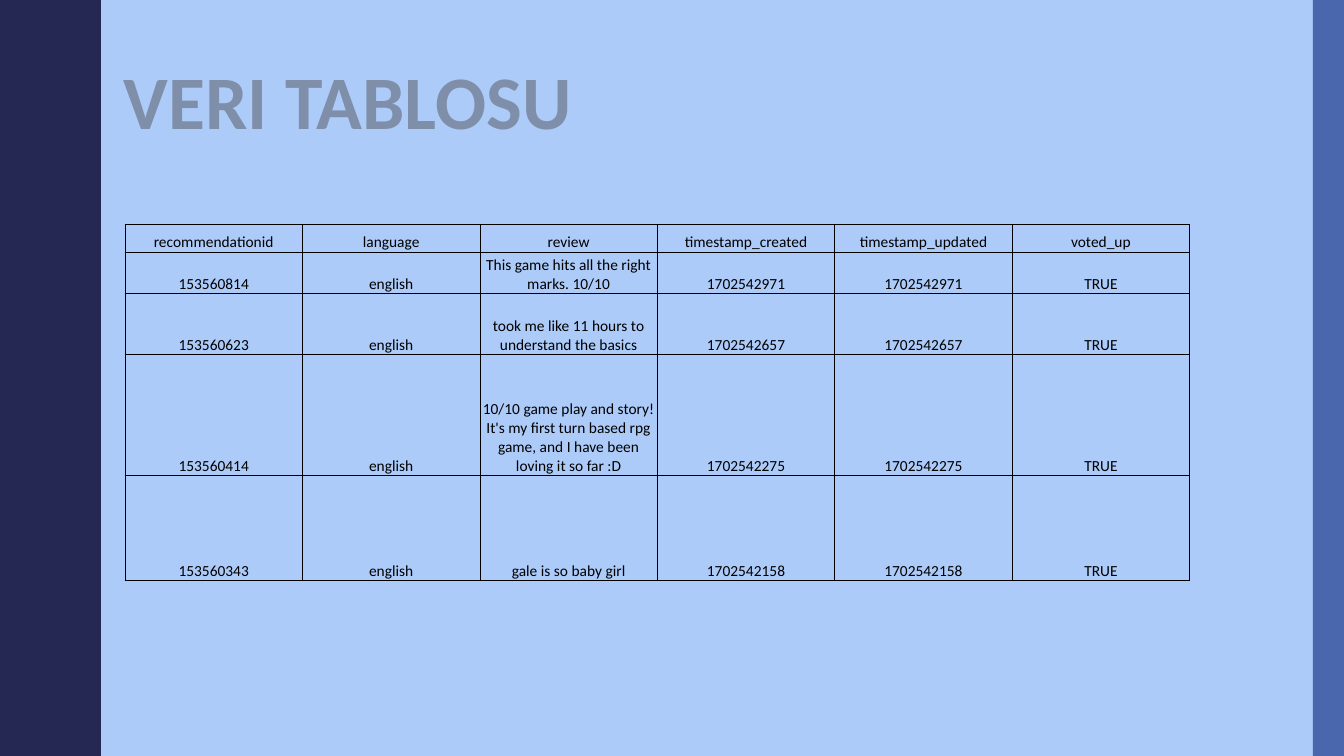
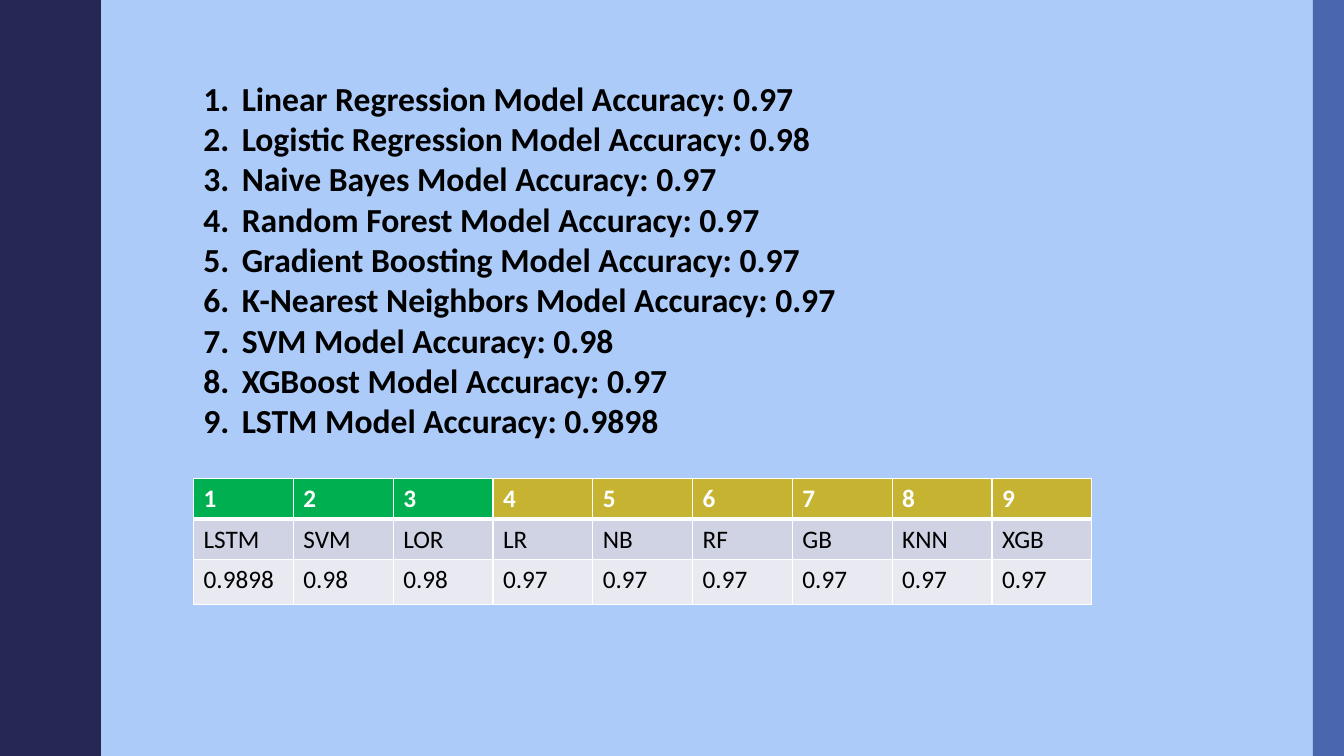
from lxml.etree import SubElement
from pptx import Presentation
from pptx.dml.color import RGBColor
from pptx.enum.shapes import MSO_SHAPE
from pptx.enum.text import MSO_ANCHOR, PP_ALIGN
from pptx.oxml.ns import qn
from pptx.util import Inches, Pt

SKY = RGBColor(0xAC, 0xCB, 0xF9)
NAVY = RGBColor(0x24, 0x28, 0x52)
BLUE = RGBColor(0x4A, 0x66, 0xAC)
SLATE = RGBColor(0x7F, 0x8F, 0xA9)
BLACK = RGBColor(0x00, 0x00, 0x00)
WHITE = RGBColor(0xFF, 0xFF, 0xFF)
GREEN = RGBColor(0x00, 0xB0, 0x50)
GOLD = RGBColor(0xC5, 0xB3, 0x31)
LILAC = RGBColor(0xD0, 0xD3, 0xE3)
PALE = RGBColor(0xE9, 0xEA, 0xF1)

FONT = "Calibri"
WIDTH, HEIGHT = 13.33, 7.5

# One rise of the wavy edge, from trough to crest
WAVE_PERIOD = 1.5
WAVE_RISE = [
    (0.78, 0), (0.78, 0.07), (0.79, 0.14), (0.8, 0.2), (0.81, 0.25),
    (0.83, 0.29), (0.85, 0.33), (0.87, 0.38), (0.89, 0.42), (0.91, 0.46),
    (0.93, 0.5), (0.95, 0.55), (0.96, 0.61), (0.97, 0.68), (0.97, 0.75),
]

TITLE = "VERI TABLOSU"
REVIEWS = [
    ("recommendationid", "language", "review",
     "timestamp_created", "timestamp_updated", "voted_up"),
    ("153560814", "english", "This game hits all the right marks. 10/10",
     "1702542971", "1702542971", "TRUE"),
    ("153560623", "english", "took me like 11 hours to understand the basics",
     "1702542657", "1702542657", "TRUE"),
    ("153560414", "english",
     "10/10 game play and story! It's my first turn based rpg game, "
     "and I have been loving it so far :D",
     "1702542275", "1702542275", "TRUE"),
    ("153560343", "english", "gale is so baby girl",
     "1702542158", "1702542158", "TRUE"),
]
REVIEW_ROW_HEIGHTS = [0.27, 0.41, 0.61, 1.2, 1.04]

ACCURACIES = [
    ("Linear Regression", "0.97"),
    ("Logistic Regression", "0.98"),
    ("Naive Bayes", "0.97"),
    ("Random Forest", "0.97"),
    ("Gradient Boosting", "0.97"),
    ("K-Nearest Neighbors", "0.97"),
    ("SVM", "0.98"),
    ("XGBoost", "0.97"),
    ("LSTM", "0.9898"),
]
RANKING = [
    ("1", "2", "3", "4", "5", "6", "7", "8", "9"),
    ("LSTM", "SVM", "LOR", "LR", "NB", "RF", "GB", "KNN", "XGB"),
    ("0.9898", "0.98", "0.98", "0.97", "0.97", "0.97", "0.97", "0.97", "0.97"),
]
RANKING_ROW_HEIGHTS = [0.4, 0.4, 0.45]
RANKING_FILLS = [[GREEN] * 3 + [GOLD] * 6, [LILAC] * 9, [PALE] * 9]


def paint(shape, color):
    shape.shadow.inherit = False
    shape.fill.solid()
    shape.fill.fore_color.rgb = color
    shape.line.fill.background()


def add_wavy_band(slide):
    fall = [(x, WAVE_PERIOD - y) for x, y in reversed(WAVE_RISE[:-1])]
    edge = [(x, y + wave * WAVE_PERIOD)
            for wave in range(round(HEIGHT / WAVE_PERIOD))
            for x, y in WAVE_RISE + fall]
    outline = slide.shapes.build_freeform(0, 0, scale=Inches(1))
    outline.add_line_segments(edge + [(0, HEIGHT)], close=True)
    paint(outline.convert_to_shape(), NAVY)


def new_slide(prs):
    """Add a blank slide with the wavy left band and the right bar."""
    slide = prs.slides.add_slide(prs.slide_layouts[6])
    add_wavy_band(slide)
    bar = slide.shapes.add_shape(
        MSO_SHAPE.RECTANGLE, Inches(13.02), 0, Inches(0.31), Inches(HEIGHT))
    paint(bar, BLUE)
    return slide


def style(paragraph, size, color, bold=False):
    font = paragraph.font
    font.name, font.size, font.bold = FONT, Pt(size), bold
    font.color.rgb = color


def add_lines(slide, box, lines, size, color):
    """Add a text box of bold paragraphs and return them."""
    frame = slide.shapes.add_textbox(*map(Inches, box)).text_frame
    frame.word_wrap = True
    frame.text = "\n".join(lines)
    for paragraph in frame.paragraphs:
        style(paragraph, size, color, bold=True)
    return frame.paragraphs


def number(paragraph, indent):
    properties = paragraph._p.get_or_add_pPr()
    properties.set("marL", str(Inches(indent)))
    properties.set("indent", str(-Inches(indent)))
    SubElement(properties, qn("a:buFont"), typeface="+mj-lt")
    SubElement(properties, qn("a:buAutoNum"), type="arabicPeriod")


def set_borders(cell, color, top, bottom, side):
    """Draw the four cell borders; widths are in points."""
    properties = cell._tc.get_or_add_tcPr()
    for tag, width in (("lnL", side), ("lnR", side), ("lnT", top), ("lnB", bottom)):
        line = SubElement(properties, qn(f"a:{tag}"), w=str(Pt(width)))
        fill = SubElement(line, qn("a:solidFill"))
        SubElement(fill, qn("a:srgbClr"), val=str(color))


def add_grid(slide, left, top, column_width, heights, rows, rule_color, rules):
    """Add a table, with one rule width per horizontal edge, and return it."""
    columns = len(rows[0])
    table = slide.shapes.add_table(
        len(rows), columns, Inches(left), Inches(top),
        Inches(column_width * columns), Inches(sum(heights))).table
    table.first_row = table.horz_banding = False
    for column in table.columns:
        column.width = Inches(column_width)
    for r, (height, texts) in enumerate(zip(heights, rows)):
        table.rows[r].height = Inches(height)
        for c, text in enumerate(texts):
            cell = table.cell(r, c)
            cell.text = text
            set_borders(cell, rule_color, rules[r], rules[r + 1], rules[0])
    return table


def build_review_slide(prs):
    slide = new_slide(prs)
    add_lines(slide, (1.13, 0.49, 9.11, 1.01), [TITLE], 54, SLATE)
    reviews = add_grid(slide, 1.24, 2.23, 1.76, REVIEW_ROW_HEIGHTS, REVIEWS,
                       BLACK, [0.5] * (len(REVIEWS) + 1))
    for cell in reviews.iter_cells():
        cell.fill.background()
        cell.vertical_anchor = MSO_ANCHOR.BOTTOM
        cell.margin_left = cell.margin_right = cell.margin_top = Inches(0.01)
        cell.margin_bottom = 0
        paragraph = cell.text_frame.paragraphs[0]
        paragraph.alignment = PP_ALIGN.CENTER
        style(paragraph, 11, BLACK)


def build_accuracy_slide(prs):
    slide = new_slide(prs)
    lines = [f"{model} Model Accuracy: {value}" for model, value in ACCURACIES]
    for paragraph in add_lines(slide, (1.92, 0.72, 7.3, 4.04), lines, 24, BLACK):
        number(paragraph, 0.38)
    ranking = add_grid(slide, 1.92, 4.75, 0.99, RANKING_ROW_HEIGHTS, RANKING,
                       WHITE, [1, 3, 1, 1])
    for r, fills in enumerate(RANKING_FILLS):
        for c, color in enumerate(fills):
            cell = ranking.cell(r, c)
            cell.fill.solid()
            cell.fill.fore_color.rgb = color
            is_header = r == 0
            style(cell.text_frame.paragraphs[0], 18,
                  WHITE if is_header else BLACK, bold=is_header)


def main():
    prs = Presentation()
    prs.slide_width, prs.slide_height = Inches(WIDTH), Inches(HEIGHT)
    backdrop = prs.slide_master.background.fill
    backdrop.solid()
    backdrop.fore_color.rgb = SKY
    build_review_slide(prs)
    build_accuracy_slide(prs)
    prs.save("out.pptx")


if __name__ == "__main__":
    main()
